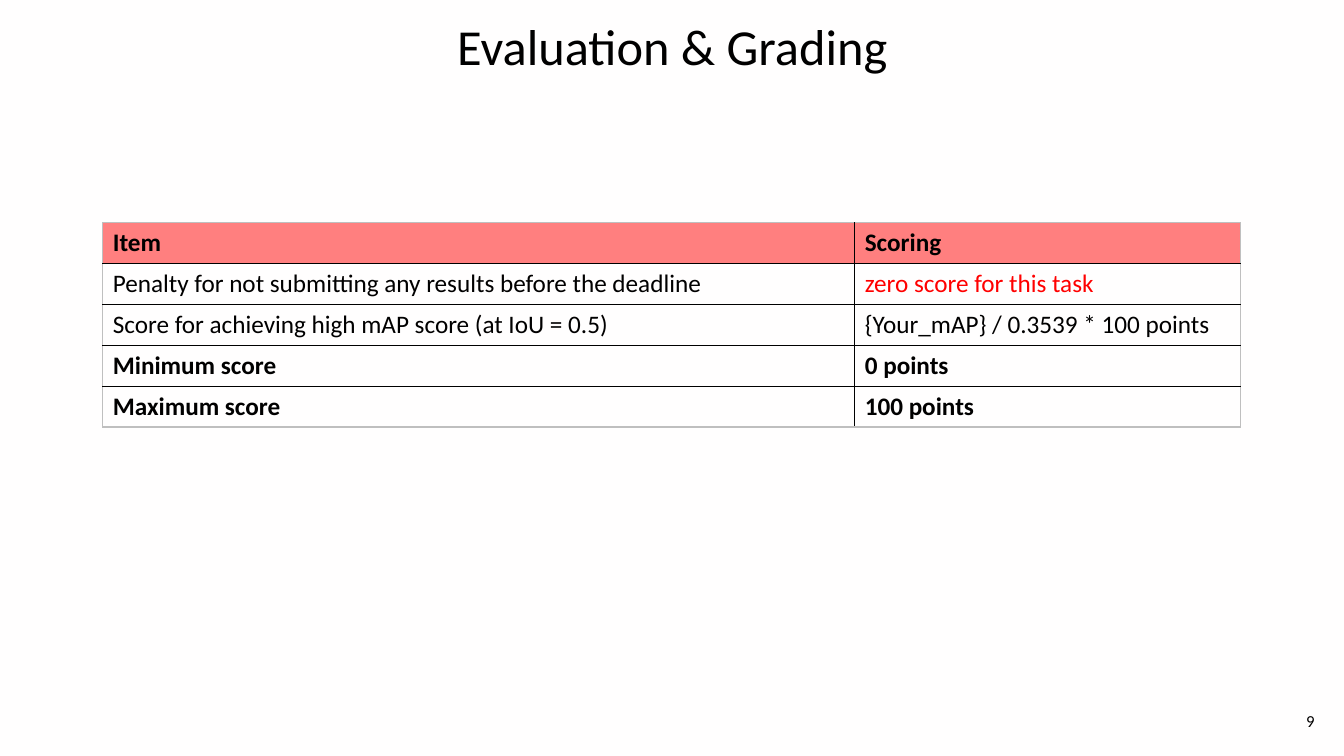
from dataclasses import dataclass

from lxml.etree import SubElement
from pptx import Presentation
from pptx.dml.color import RGBColor
from pptx.enum.text import MSO_ANCHOR, PP_ALIGN
from pptx.oxml.ns import qn
from pptx.slide import Slide
from pptx.table import Table, _Cell
from pptx.text.text import _Paragraph
from pptx.util import Cm, Pt

COLORS = {
    "background": "FFFEFE",
    "header": "FF7F7F",
    "text": "000000",
    "warning": "FF0000",
    "frame": "BFBFBF",
    "grid": "000000",
}
FONT = "Calibri"
COLUMN_WIDTHS = (18.95, 9.73)
ROW_HEIGHT = 1.03


@dataclass
class Label:
    text: str
    left: float
    top: float
    width: float
    height: float
    size: float
    align: PP_ALIGN
    line_spacing: float = 1.0


@dataclass
class GradingRow:
    item: str
    scoring: str
    bold: bool = False
    fill: str = "background"
    scoring_color: str = "text"


LABELS = [
    Label("Evaluation & Grading", 0.51, 0.38, 32.87, 1.7, 36, PP_ALIGN.CENTER, 0.9),
    Label("9", 25.76, 17.65, 7.62, 1.02, 12, PP_ALIGN.RIGHT),
]

GRADING_ROWS = [
    GradingRow("Item", "Scoring", bold=True, fill="header"),
    GradingRow(
        "Penalty for not submitting any results before the deadline",
        "zero score for this task",
        scoring_color="warning",
    ),
    GradingRow(
        "Score for achieving high mAP score (at IoU = 0.5)",
        "{Your_mAP} / 0.3539 * 100 points",
    ),
    GradingRow("Minimum score", "0 points", bold=True),
    GradingRow("Maximum score", "100 points", bold=True),
]


def rgb(name: str) -> RGBColor:
    return RGBColor.from_string(COLORS[name])


def format_text(
    paragraph: _Paragraph, size: float, color: str = "text", bold: bool = False
) -> None:
    for span in paragraph.runs:
        span.font.name = FONT
        span.font.size = Pt(size)
        span.font.bold = bold
        span.font.color.rgb = rgb(color)


def add_label(page: Slide, label: Label) -> None:
    box = page.shapes.add_textbox(
        Cm(label.left), Cm(label.top), Cm(label.width), Cm(label.height)
    )
    frame = box.text_frame
    frame.word_wrap = True
    frame.vertical_anchor = MSO_ANCHOR.MIDDLE
    frame.text = label.text
    paragraph = frame.paragraphs[0]
    paragraph.alignment = label.align
    paragraph.line_spacing = label.line_spacing
    format_text(paragraph, label.size)


def add_border(cell: _Cell, side: str, color: str, width: float) -> None:
    properties = cell._tc.get_or_add_tcPr()
    line = SubElement(properties, qn(f"a:{side}"), w=str(Pt(width)))
    fill = SubElement(line, qn("a:solidFill"))
    SubElement(fill, qn("a:srgbClr"), val=COLORS[color])


def add_borders(table: Table, row: int, column: int) -> None:
    last_row = len(table.rows) - 1
    last_column = len(table.columns) - 1
    outer_sides = {
        "lnL": column == 0,
        "lnR": column == last_column,
        "lnT": row == 0,
        "lnB": row == last_row,
    }
    below_header = {(0, "lnB"), (1, "lnT")}
    for side, is_outer in outer_sides.items():
        color = "frame" if is_outer else "grid"
        width = 1.5 if (row, side) in below_header else 1
        add_border(table.cell(row, column), side, color, width)


def add_grading_table(page: Slide) -> None:
    table = page.shapes.add_table(
        len(GRADING_ROWS),
        len(COLUMN_WIDTHS),
        Cm(2.59),
        Cm(5.61),
        Cm(sum(COLUMN_WIDTHS)),
        Cm(ROW_HEIGHT * len(GRADING_ROWS)),
    ).table
    table.first_row = False
    table.horz_banding = False
    for column, width in zip(table.columns, COLUMN_WIDTHS):
        column.width = Cm(width)
    for row_index, grading in enumerate(GRADING_ROWS):
        table.rows[row_index].height = Cm(ROW_HEIGHT)
        entries = [(grading.item, "text"), (grading.scoring, grading.scoring_color)]
        for column_index, (text, color) in enumerate(entries):
            cell = table.cell(row_index, column_index)
            add_borders(table, row_index, column_index)
            cell.fill.solid()
            cell.fill.fore_color.rgb = rgb(grading.fill)
            cell.text_frame.text = text
            format_text(cell.text_frame.paragraphs[0], 18, color, grading.bold)


def main() -> None:
    deck = Presentation()
    deck.slide_width = Cm(33.87)
    deck.slide_height = Cm(19.05)
    page = deck.slides.add_slide(deck.slide_layouts[6])
    page.background.fill.solid()
    page.background.fill.fore_color.rgb = rgb("background")
    for label in LABELS:
        add_label(page, label)
    add_grading_table(page)
    deck.save("out.pptx")


if __name__ == "__main__":
    main()
